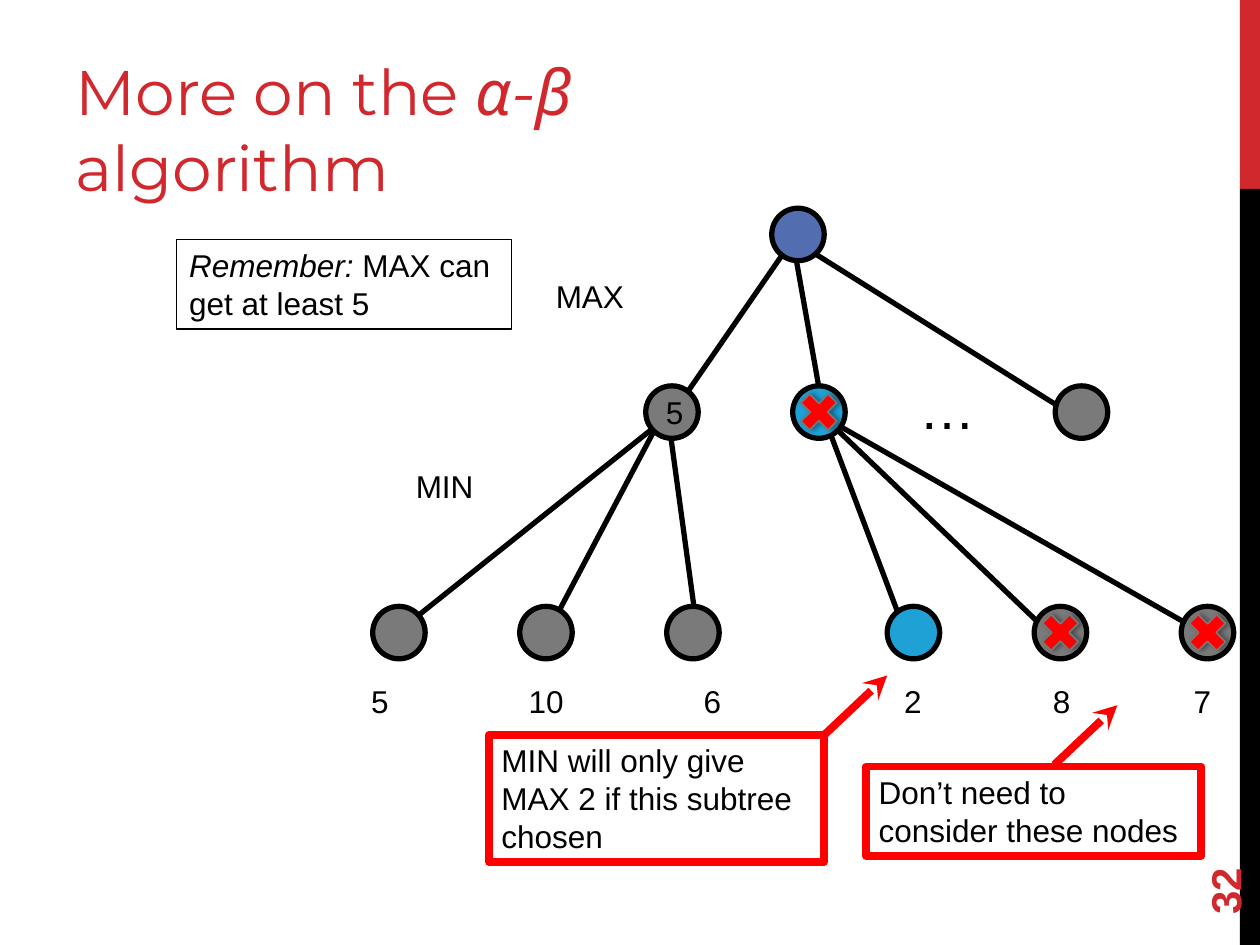
from lxml import etree
from pptx import Presentation
from pptx.dml.color import RGBColor
from pptx.enum.shapes import MSO_CONNECTOR, MSO_SHAPE
from pptx.enum.text import MSO_ANCHOR
from pptx.oxml.ns import qn
from pptx.util import Pt

LINE = MSO_CONNECTOR.STRAIGHT
RECT, OVAL, CROSS = MSO_SHAPE.RECTANGLE, MSO_SHAPE.OVAL, MSO_SHAPE.MATH_MULTIPLY
TOP, MID, LOW = MSO_ANCHOR.TOP, MSO_ANCHOR.MIDDLE, MSO_ANCHOR.BOTTOM
BLACK = RGBColor(0, 0, 0)
CRIMSON = RGBColor(0xD1, 0x28, 0x2E)
RED = RGBColor(0xFF, 0, 0)
GRAY = RGBColor(0x7A, 0x7A, 0x7A)
RIM = RGBColor(0x77, 0x77, 0x77)
NAVY = RGBColor(0x52, 0x6D, 0xB0)
CYAN = RGBColor(0x1F, 0xA1, 0xD6)

SIZE = 30
BARS = [(0, 108, CRIMSON), (108, 432, BLACK)]
TITLE = [("More on the ", False), ("α-β", True), (" algorithm", False)]
LABELS = [
    ("…", (518.5, 210, 47, 45), 32),
    ("MAX", (310.5, 155, 70.5, 36), 18),
    ("MIN", (230.5, 263.5, 61, 36), 18),
]
EDGES = [
    ((453, 137), [(387, 232.5), (615, 238.5), (471, 238.5)]),
    ((381, 238.5), [(230.5, 358.5)]),
    ((381, 232.5), [(314.5, 358.5), (399, 364.5)]),
    ((471, 238.5), [(518.5, 364.5), (602.5, 364.5), (692.5, 364.5)]),
]
ROWS = [
    (134, [(456, NAVY, "", False)]),
    (235.5, [(384, GRAY, "5", False), (468, CYAN, "", True), (618, GRAY, "", False)]),
    (361.5, [(228, GRAY, "", False), (312, GRAY, "", False), (396, GRAY, "", False),
             (522, CYAN, "", False), (606, GRAY, "", True), (690, GRAY, "", True)]),
]
SCORES = ["5", "10", "6", "2", "8", "7"]
STOPS = [90, 190, 304.5, 389.5, 470]
NOTES = [
    ([("Remember: ", True), ("MAX can get at least 5", False)],
     (101, 137, 191.5, 51), BLACK, 0.75),
    ([("MIN will only give MAX 2 if this subtree chosen", False)],
     (279.5, 420, 191.5, 72.5), RED, 4.5),
    ([("Don’t need to consider these nodes", False)],
     (495, 438, 191.5, 51), RED, 4.5),
]
ARROWS = [((471, 420), (507, 386)), ((602.5, 437), (638.5, 403))]

deck = Presentation()
deck.slide_width, deck.slide_height = Pt(720), Pt(540)
slide = deck.slides.add_slide(deck.slide_layouts[6])
shapes = slide.shapes


def write(shape, runs, size=18, color=BLACK, font="Arial", bold=False, anchor=TOP):
    frame = shape.text_frame
    frame.word_wrap = True
    frame.vertical_anchor = anchor
    para = frame.paragraphs[0]
    para.alignment = 1
    for text, slant in runs:
        run = para.add_run()
        run.text = text
        face = run.font
        face.name, face.size = font, Pt(size)
        face.bold, face.italic = bold, slant
        face.color.rgb = color
    return para


def label(box, runs, **style):
    shape = shapes.add_textbox(*map(Pt, box))
    return shape, write(shape, runs, **style)


def draw(kind, box, fill=None, line=None, width=0):
    shape = shapes.add_shape(kind, *map(Pt, box))
    shape.shadow.inherit = False
    if fill is None:
        shape.fill.background()
    else:
        shape.fill.solid()
        shape.fill.fore_color.rgb = fill
    if line is None:
        shape.line.fill.background()
    else:
        shape.line.color.rgb = line
        shape.line.width = Pt(width)
    return shape


def link(start, end, color, width, arrow=False):
    edge = shapes.add_connector(LINE, *map(Pt, start + end))
    edge.line.color.rgb = color
    edge.line.width = Pt(width)
    if arrow:
        etree.SubElement(edge.line._get_or_add_ln(), qn("a:tailEnd"), type="stealth")
    etree.SubElement(edge._element.spPr, qn("a:effectLst"))


def shade(shape):
    glow = shape._element.spPr.find(qn("a:effectLst"))
    cast = etree.SubElement(glow, qn("a:outerShdw"), blurRad=str(Pt(3.1)),
                            dist=str(Pt(1.8)), dir="0", rotWithShape="0")
    tint = etree.SubElement(cast, qn("a:srgbClr"), val=str(BLACK))
    etree.SubElement(tint, qn("a:alpha"), val="40000")


for top, high, color in BARS:
    draw(RECT, (708.5, top, 11.5, high), color)
page, _ = label((648, 463.5, 103.5, 29), [("32", False)], size=24,
                color=CRIMSON, bold=True, anchor=MID)
page.rotation = 270
label((36, 12, 456, 108), TITLE, size=36, color=CRIMSON, font="Montserrat", anchor=LOW)
for text, box, size in LABELS:
    label(box, [(text, False)], size=size)

for start, ends in EDGES:
    for end in ends:
        link(start, end, BLACK, 3)

cuts = []
for y, nodes in ROWS:
    for x, color, text, cut in nodes:
        box = (x - SIZE / 2, y - SIZE / 2, SIZE, SIZE)
        node = draw(OVAL, box, color, BLACK, 3)
        if text:
            write(node, [(text, False)], anchor=MID)
        if cut:
            cuts.append(box)

_, para = label((205, 386, 500, 29), [("\t".join(SCORES), False)])
tabs = etree.SubElement(para._p.get_or_add_pPr(), qn("a:tabLst"))
for stop in STOPS:
    etree.SubElement(tabs, qn("a:tab"), pos=str(Pt(stop)), algn="l")

for runs, box, color, width in NOTES:
    write(draw(RECT, box, None, color, width), runs)
for start, end in ARROWS:
    link(start, end, RED, 4.5, True)
for box in cuts:
    shade(draw(CROSS, box, RED, RIM, 1))

deck.save("out.pptx")
